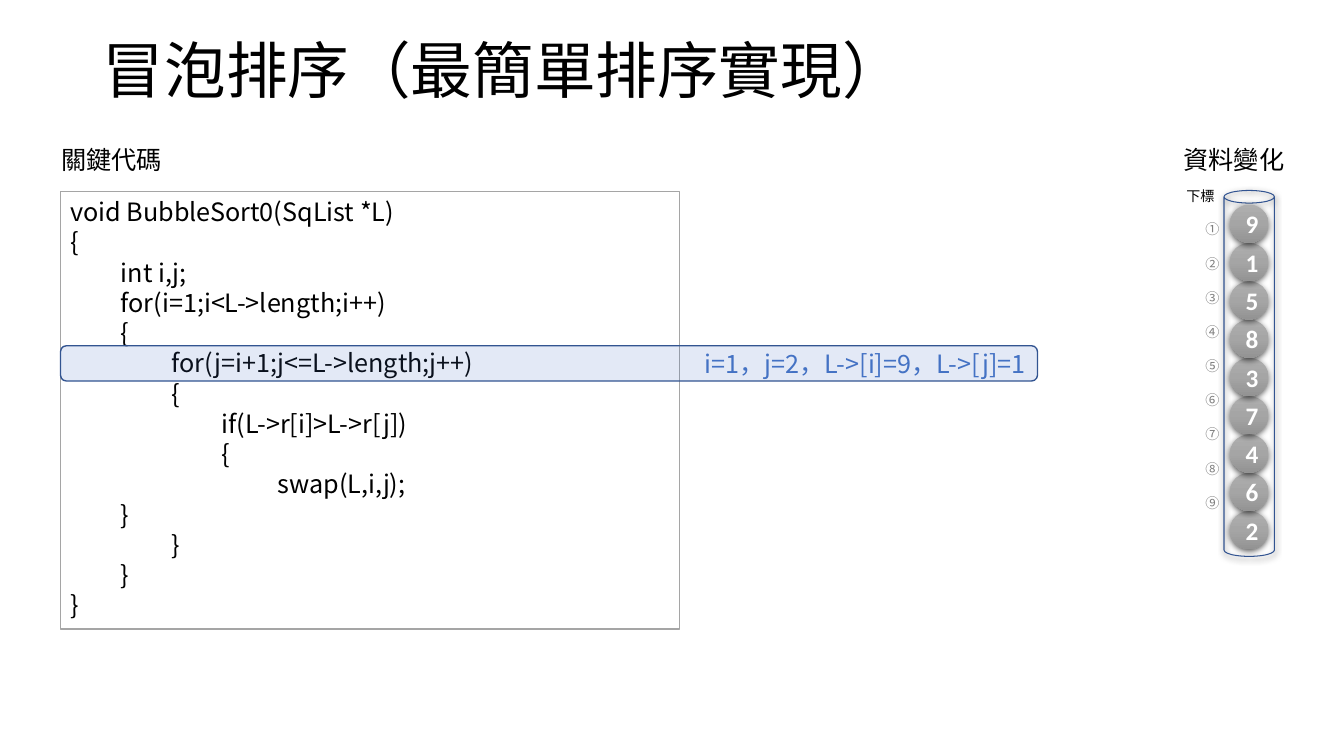
from lxml import etree
from pptx import Presentation
from pptx.dml.color import RGBColor
from pptx.enum.shapes import MSO_SHAPE
from pptx.enum.text import MSO_ANCHOR, PP_ALIGN
from pptx.oxml import parse_xml
from pptx.oxml.ns import nsdecls, qn
from pptx.util import Inches, Pt

RECT, ROUND = MSO_SHAPE.RECTANGLE, MSO_SHAPE.ROUNDED_RECTANGLE
CAN, OVAL = MSO_SHAPE.CAN, MSO_SHAPE.OVAL
LEFT, MID, RIGHT = PP_ALIGN.LEFT, PP_ALIGN.CENTER, PP_ALIGN.RIGHT
TOP, CENTER = MSO_ANCHOR.TOP, MSO_ANCHOR.MIDDLE
NOTO = "Noto Sans CJK SC"
BLUE, NAVY, GRAY = "4472C4", "325491", "A5A5A5"

# Code lines: (tab depth, text)
CODE = [
    (0, "void BubbleSort0(SqList *L)"), (0, "{"),
    (1, "int i,j;"), (1, "for(i=1;i<L->length;i++)"), (1, "{"),
    (2, "for(j=i+1;j<=L->length;j++)"), (2, "{"),
    (3, "if(L->r[i]>L->r[j])"), (3, "{"),
    (4, " swap(L,i,j);"), (1, "}"), (2, "}"), (1, "}"), (0, "}"),
]
DATA = [9, 1, 5, 8, 3, 7, 4, 6, 2]
MARKS = "①②③④⑤⑥⑦⑧⑨"


def color(code):
    return RGBColor.from_string(code)


def inches(box):
    return [Inches(n) for n in box]


def write(frame, lines, size=18, ink="000000", font=NOTO, align=LEFT,
          anchor=TOP, pitch=None, bold=False, wrap=True):
    frame.word_wrap = wrap
    frame.vertical_anchor = anchor
    for n, line in enumerate(lines):
        para = frame.add_paragraph() if n else frame.paragraphs[0]
        para.alignment = align
        if pitch:
            para.line_spacing = pitch
        run = para.add_run()
        run.text = line
        style = {"size": Pt(size), "name": font, "bold": bold}
        for key, value in style.items():
            setattr(run.font, key, value)
        run.font.color.rgb = color(ink)
        east = etree.SubElement(run.font._element, qn("a:ea"))
        east.set("typeface", font)


def shape(slide, kind, box, fill=None, line=None, width=1):
    item = slide.shapes.add_shape(kind, *inches(box))
    item.shadow.inherit = False
    if fill:
        item.fill.solid()
        item.fill.fore_color.rgb = color(fill)
    else:
        item.fill.background()
    if line:
        item.line.color.rgb = color(line)
        item.line.width = Pt(width)
    else:
        item.line.fill.background()
    return item


def shade(item):
    props = item._element.spPr
    props.remove(props.find(qn("a:effectLst")))
    props.append(parse_xml(
        f'<a:effectLst {nsdecls("a")}><a:outerShdw blurRad="{Pt(4.5)}" '
        f'dist="{Pt(1.5)}" dir="5400000" algn="ctr" rotWithShape="0">'
        '<a:srgbClr val="000000"><a:alpha val="63000"/></a:srgbClr>'
        '</a:outerShdw></a:effectLst>'))


def blend(item, tones):
    stops = "".join(
        f'<a:gs pos="{n * 50000}"><a:srgbClr val="{tone}"/></a:gs>'
        for n, tone in enumerate(tones))
    old = item._element.spPr.find(qn("a:noFill"))
    old.getparent().replace(old, parse_xml(
        f'<a:gradFill {nsdecls("a")} rotWithShape="1"><a:gsLst>{stops}'
        '</a:gsLst><a:lin ang="5400000" scaled="0"/></a:gradFill>'))


def label(slide, box, text, size=18, **style):
    frame = slide.shapes.add_textbox(*inches(box)).text_frame
    write(frame, [text], size, pitch=Pt(size * 1.2), **style)


def head(slide, box):
    title = slide.shapes.title
    title.left, title.top, title.width, title.height = inches(box)
    write(title.text_frame, ["冒泡排序（最簡單排序實現）"], 44,
          anchor=CENTER, pitch=0.9)


def code(slide, box):
    x, y, w, h = box
    label(slide, (x - 0.09, y - 0.52, 1.25, 0.4), "關鍵代碼", wrap=False)
    panel = shape(slide, RECT, box, "FFFFFF", GRAY)
    lines = ["\t" * depth + text for depth, text in CODE]
    write(panel.text_frame, lines, pitch=Pt(21.6))

    # Current step, laid over the inner loop
    step = shape(slide, ROUND, (x, y + 1.53, 9.69, 0.35), BLUE, NAVY)
    tint = step._element.spPr.find(qn("a:solidFill"))[0]
    etree.SubElement(tint, qn("a:alpha")).set("val", "15000")
    write(step.text_frame, ["i=1，j=2，L->[i]=9，L->[j]=1"], ink=BLUE,
          align=RIGHT, anchor=CENTER, pitch=Pt(21.6))


def stack(slide, box):
    x, y, w, h = box
    label(slide, (x - 0.5, y - 0.51, 1.21, 0.4), "資料變化", wrap=False)
    shade(shape(slide, CAN, box, line=NAVY, width=0.75))
    label(slide, (x - 0.53, y - 0.08, 0.59, 0.27), "下標", 10, align=MID)

    # Balls, from the bottom up
    size = 0.38
    for n, value in reversed(list(enumerate(DATA))):
        ball = shape(slide, OVAL,
                     (x + 0.06, y + 0.14 + n * size, size, size))
        blend(ball, ("AFAFAF", GRAY, "939393"))
        shade(ball)
        write(ball.text_frame, [str(value)], ink="FFFFFF", font="Calibri",
              align=MID, anchor=CENTER, bold=True)

    # Index column
    area = (x - 0.3, y + 0.13, 0.37, 3.06)
    frame = slide.shapes.add_textbox(*inches(area)).text_frame
    for side in ("left", "top", "right", "bottom"):
        setattr(frame, "margin_" + side, 0)
    write(frame, MARKS, 10, "808080", align=MID, pitch=Pt(24.4))


def main():
    deck = Presentation()
    deck.slide_width, deck.slide_height = Inches(13.33), Inches(7.5)
    slide = deck.slides.add_slide(deck.slide_layouts[5])
    head(slide, (0.92, 0, 11.5, 1.45))
    code(slide, (0.6, 1.9, 6.14, 4.34))
    stack(slide, (12.14, 1.89, 0.5, 3.63))
    deck.save("out.pptx")


if __name__ == "__main__":
    main()
